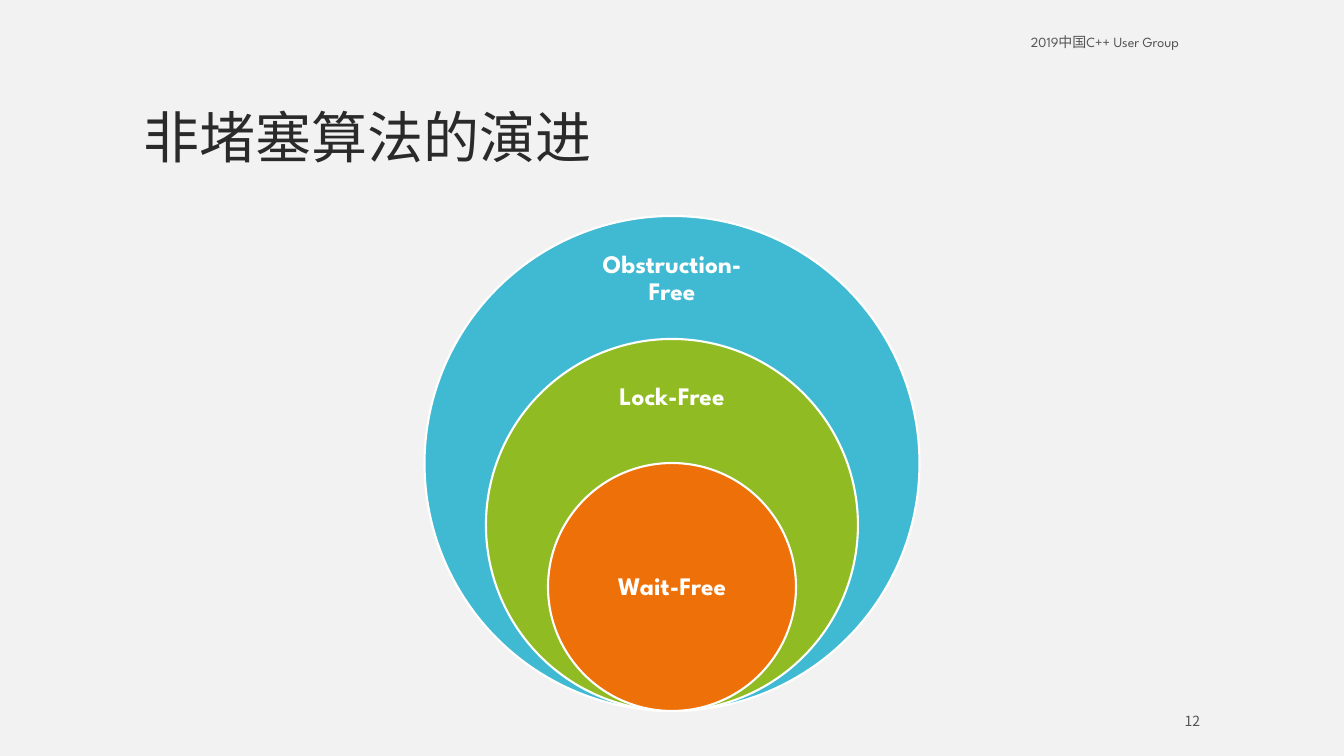
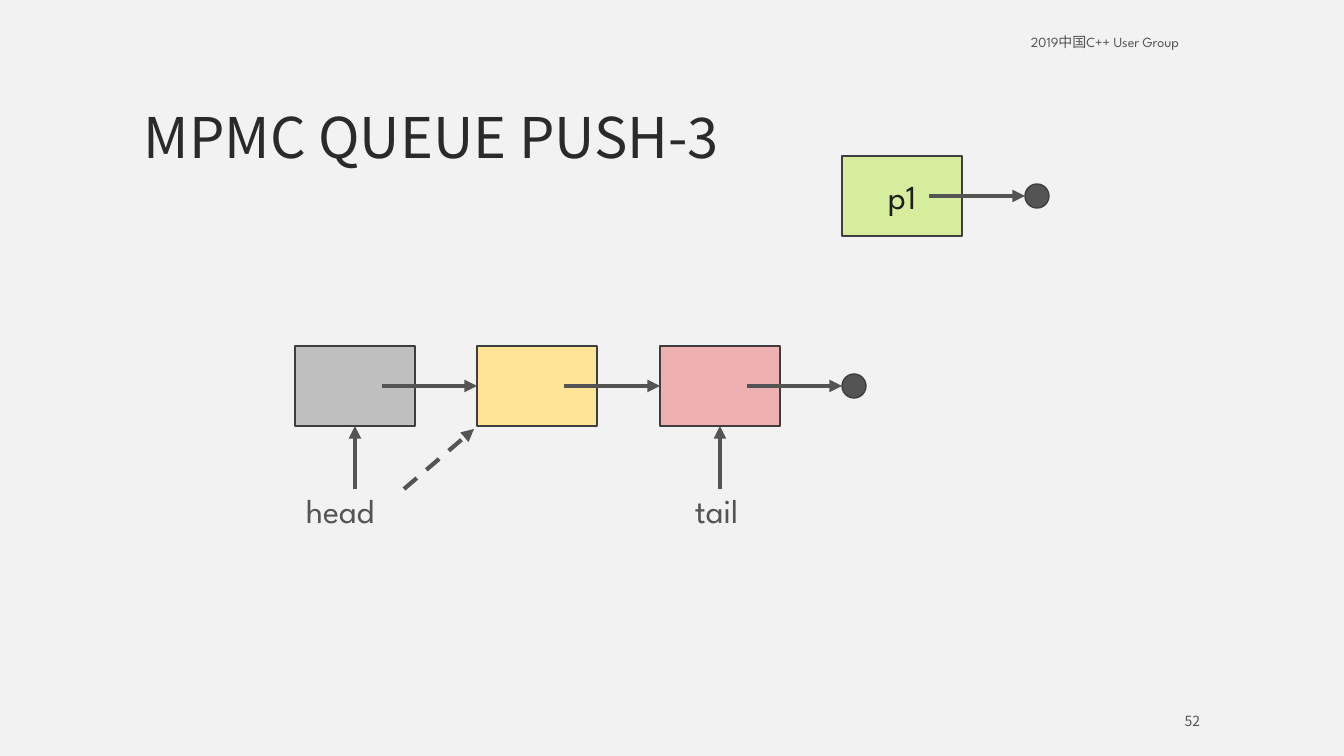
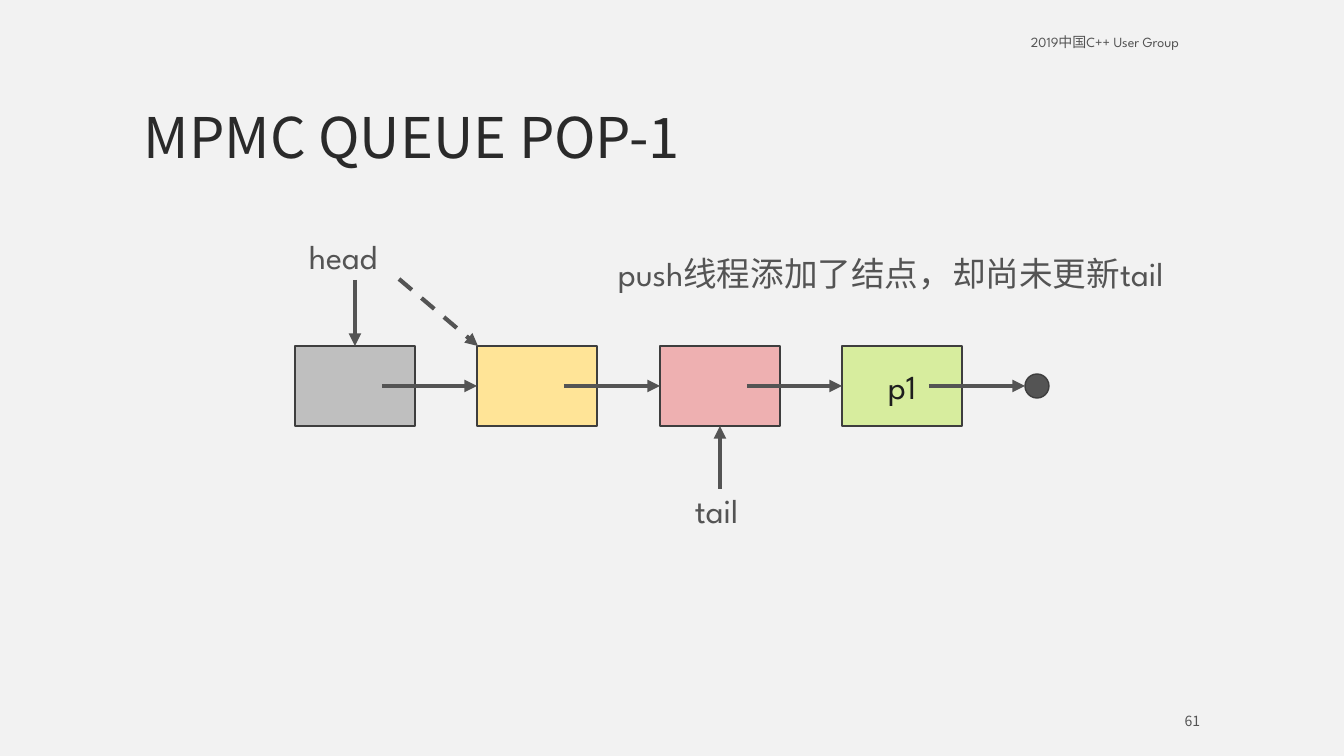
from dataclasses import dataclass

import pptx
import pptx.dml.color
import pptx.enum.dml
import pptx.enum.shapes
import pptx.enum.text
import pptx.oxml.ns
import pptx.util
from lxml import etree

PX = 914400 / 100.8  # EMU in one px
PAGE_WIDTH, PAGE_HEIGHT = 1344, 756

ALIGN = pptx.enum.text.PP_ALIGN
ANCHOR = pptx.enum.text.MSO_ANCHOR
SHAPE = pptx.enum.shapes.MSO_SHAPE

# Node grid shared by the queue diagrams
NODE_LEFT, TWO_PITCHES = 295, 365
NODE_WIDTH, NODE_HEIGHT = 120, 80
QUEUE_TOP, LINK_INSET, DOT_SIZE = 346, 87, 24
POINTER_LENGTH = 63
TOP, LEFT, BOTTOM = 0, 1, 2


@dataclass(frozen=True)
class Theme:
    latin: str = "League Spartan"
    asian: str = "Noto Sans CJK SC"
    background: str = "F2F2F2"
    title: str = "2A2A2A"
    text: str = "545454"
    node_text: str = "1E1E1E"
    outline: str = "3E3E3E"
    white: str = "FFFFFF"
    blue: str = "40BAD2"
    green: str = "90BB23"
    orange: str = "EE7008"
    grey: str = "BFBFBF"
    yellow: str = "FFE497"
    pink: str = "EEB0B1"
    lime: str = "D7ED9E"
    title_size: int = 40
    label_size: int = 24
    circle_size: int = 18
    small_size: int = 10


def px(length):
    return pptx.util.Emu(round(length * PX))


def rgb(value):
    return pptx.dml.color.RGBColor.from_string(value)


def node_left(index):
    return NODE_LEFT + index * TWO_PITCHES // 2


class Deck:
    def __init__(self, theme):
        self.theme = theme
        self.deck = pptx.Presentation()
        self.deck.slide_width = px(PAGE_WIDTH)
        self.deck.slide_height = px(PAGE_HEIGHT)
        self.page = None

    def new_page(self, title, number):
        """Start a page with its background, header, title and number."""
        theme = self.theme
        self.page = self.deck.slides.add_slide(self.deck.slide_layouts[6])
        fill = self.page.background.fill
        fill.solid()
        fill.fore_color.rgb = rgb(theme.background)
        self.label("2019中国C++ User Group", 1021, 30, 188, 25, theme.small_size)
        self.text(title, 134, 30, 1075, 146, theme.title_size, theme.title,
                  font=theme.asian, anchor=ANCHOR.BOTTOM)
        self.text(str(number), 1084, 711, 126, 20, theme.small_size, theme.text,
                  font=theme.asian, align=ALIGN.RIGHT, anchor=ANCHOR.MIDDLE, spacing=1.0)

    def fill_frame(self, frame, text, size, color, font=None, bold=False,
                   align=ALIGN.LEFT, anchor=ANCHOR.TOP, spacing=0.9):
        frame.text = text
        frame.vertical_anchor = anchor
        para = frame.paragraphs[0]
        para.alignment = align
        para.line_spacing = spacing
        for span in para.runs:
            span.font.size = pptx.util.Pt(size)
            span.font.bold = bold
            span.font.color.rgb = rgb(color)
            span.font.name = font or self.theme.latin
            asian = etree.SubElement(span.font._element, pptx.oxml.ns.qn("a:ea"))
            asian.set("typeface", self.theme.asian)

    def text(self, text, left, top, width, height, size, color, **style):
        box = self.page.shapes.add_textbox(px(left), px(top), px(width), px(height))
        box.text_frame.word_wrap = True
        self.fill_frame(box.text_frame, text, size, color, **style)
        return box

    def label(self, text, left, top, width, height=46, size=None):
        """One line of text in a box that fits it."""
        box = self.text(text, left, top, width, height,
                        size or self.theme.label_size, self.theme.text)
        box.text_frame.word_wrap = False
        box.text_frame.auto_size = pptx.enum.text.MSO_AUTO_SIZE.SHAPE_TO_FIT_TEXT

    def shape(self, kind, left, top, width, height, fill, line, weight=1.5):
        shape = self.page.shapes.add_shape(kind, px(left), px(top), px(width), px(height))
        shape.shadow.inherit = False
        shape.fill.solid()
        shape.fill.fore_color.rgb = rgb(fill)
        shape.line.color.rgb = rgb(line)
        shape.line.width = pptx.util.Pt(weight)
        return shape

    def circle(self, text, diameter, bottom, fill, label_top, label_height):
        center = PAGE_WIDTH // 2
        self.shape(SHAPE.OVAL, center - diameter / 2, bottom - diameter,
                   diameter, diameter, fill, self.theme.white)
        box = self.text(text, center - 87, label_top, 174, label_height,
                        self.theme.circle_size, self.theme.white, bold=True,
                        align=ALIGN.CENTER, anchor=ANCHOR.MIDDLE)
        frame = box.text_frame
        frame.margin_left = frame.margin_right = px(14)
        frame.margin_top = frame.margin_bottom = px(14)

    def node(self, index, fill, text="", top=QUEUE_TOP):
        box = self.shape(SHAPE.RECTANGLE, node_left(index), top,
                         NODE_WIDTH, NODE_HEIGHT, fill, self.theme.outline)
        if text:
            self.fill_frame(box.text_frame, text, self.theme.label_size,
                            self.theme.node_text, align=ALIGN.CENTER,
                            anchor=ANCHOR.MIDDLE, spacing=1.0)
        return box

    def arrow(self, start, end, target=None, side=None, dashed=False):
        arrow = self.page.shapes.add_connector(
            pptx.enum.shapes.MSO_CONNECTOR.STRAIGHT, *map(px, start + end))
        if target is not None:
            arrow.end_connect(target, side)
        arrow.line.color.rgb = rgb(self.theme.text)
        arrow.line.width = pptx.util.Pt(3)
        if dashed:
            arrow.line.dash_style = pptx.enum.dml.MSO_LINE.DASH
        # Arrowhead, and no shadow
        qn = pptx.oxml.ns.qn
        properties = arrow._element.spPr
        etree.SubElement(properties.find(qn("a:ln")), qn("a:tailEnd")).set("type", "triangle")
        etree.SubElement(properties, qn("a:effectLst"))

    def link(self, index, top=QUEUE_TOP, target=None):
        """Arrow from inside a node to the next node, or to a closing dot."""
        middle = top + NODE_HEIGHT // 2
        end = node_left(index + 1)
        if target is None:
            self.shape(SHAPE.OVAL, end, middle - DOT_SIZE // 2, DOT_SIZE, DOT_SIZE,
                       self.theme.text, self.theme.outline, 1)
        self.arrow((node_left(index) + LINK_INSET, middle), (end, middle), target, LEFT)

    def queue(self, nodes):
        """Row of linked nodes that ends in a dot."""
        boxes = [self.node(index, *node) for index, node in enumerate(nodes)]
        for index, target in enumerate(boxes[1:] + [None]):
            self.link(index, target=target)
        return boxes

    def pointer(self, index, box, side):
        center = node_left(index) + NODE_WIDTH // 2
        if side == TOP:
            edge, start = QUEUE_TOP, QUEUE_TOP - POINTER_LENGTH - 3
        else:
            edge = QUEUE_TOP + NODE_HEIGHT
            start = edge + POINTER_LENGTH
        self.arrow((center, start), (center, edge), box, side)

    def tail_pointer(self, box):
        self.pointer(2, box, BOTTOM)
        self.label("tail", 685, 489, 69)


def main():
    theme = Theme()
    deck = Deck(theme)
    base_nodes = [(theme.grey,), (theme.yellow,), (theme.pink,)]
    new_node = (theme.lime, "p1")

    # Nested circles
    deck.new_page("非堵塞算法的演进", 12)
    for text, diameter, fill, label_top, label_height in (
            ("Obstruction-Free", 495, theme.blue, 241, 75),
            ("Lock-Free", 372, theme.green, 363, 69),
            ("Wait-Free", 248, theme.orange, 525, 124)):
        deck.circle(text, diameter, 711, fill, label_top, label_height)

    # Push: the new node is still apart from the queue
    deck.new_page("MPMC QUEUE PUSH-3", 52)
    boxes = deck.queue(base_nodes)
    deck.pointer(0, boxes[0], BOTTOM)
    deck.label("head", 296, 489, 110)
    deck.arrow((404, 489), (474, 429), dashed=True)
    deck.tail_pointer(boxes[2])
    deck.node(3, *new_node, top=156)
    deck.link(3, top=156)

    # Pop: the new node is linked, the tail lags behind
    deck.new_page("MPMC QUEUE POP-1", 61)
    boxes = deck.queue(base_nodes + [new_node])
    deck.pointer(0, boxes[0], TOP)
    deck.label("head", 299, 235, 110)
    deck.arrow((399, 279), (478, 346), dashed=True)
    deck.tail_pointer(boxes[2])
    deck.label("push线程添加了结点，却尚未更新tail", 608, 252, 588)

    deck.deck.save("out.pptx")


if __name__ == "__main__":
    main()
